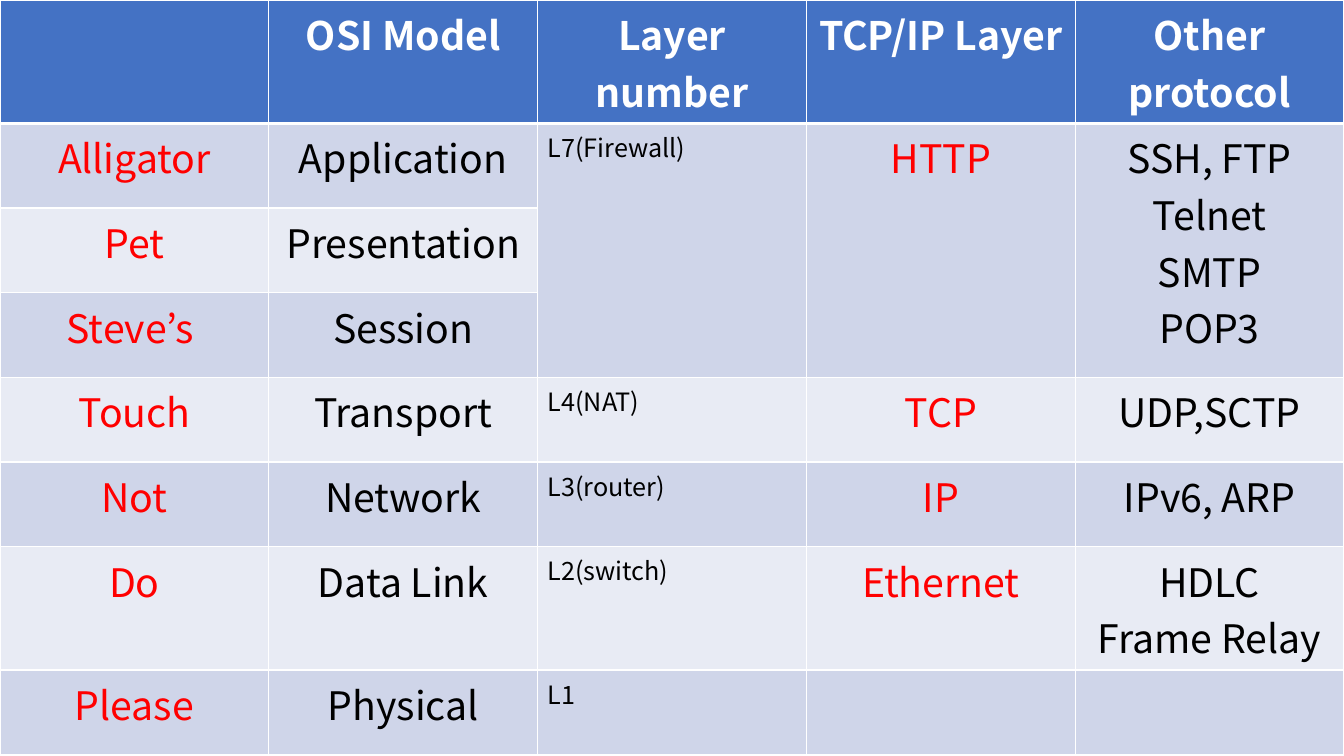
from lxml.etree import SubElement
from pptx import Presentation
from pptx.dml.color import RGBColor
from pptx.enum.text import PP_ALIGN as Align
from pptx.oxml.ns import qn
from pptx.util import Inches, Pt

HEADER = ["", "OSI Model", "Layer number", "TCP/IP Layer", "Other protocol"]
LAYERS = [
    ["Alligator", "Application", "L7(Firewall)", "HTTP", "SSH, FTP\nTelnet\nSMTP\nPOP3"],
    ["Pet", "Presentation", "", "", ""],
    ["Steve’s ", "Session", "", "", ""],
    ["Touch", "Transport", "L4(NAT)", "TCP", "UDP,SCTP"],
    ["Not", "Network", "L3(router)", "IP", "IPv6, ARP"],
    ["Do", "Data Link", "L2(switch)", "Ethernet", "HDLC\nFrame Relay"],
    ["Please", "Physical", "L1", "", ""],
]
TALL_ROWS = (0, 6)
MERGED_COLUMNS = (2, 3, 4)
WHITE, BLACK, RED = "FFFFFF", "000000", "FF0000"
HEADER_FILL, BAND_FILLS = "4472C4", ("E8EBF4", "CFD5E9")

HEADER_TEXT = {"size": Pt(28), "name": "Noto Sans CJK KR", "bold": True, "color": WHITE}
BODY_TEXT = {**HEADER_TEXT, "bold": False, "color": BLACK}
KEY_TEXT = {**BODY_TEXT, "color": RED}
NUMBER_TEXT = {**BODY_TEXT, "size": Pt(18), "name": "Noto Sans CJK JP"}
COLUMN_TEXT = [KEY_TEXT, BODY_TEXT, NUMBER_TEXT, KEY_TEXT, BODY_TEXT]


def rgb(value):
    """Turn a hex string into a colour."""
    return RGBColor.from_string(value)


def format_font(font, values):
    """Apply a dict of format values to a font."""
    for name, value in values.items():
        if name == "color":
            font.color.rgb = rgb(value)
        else:
            setattr(font, name, value)


def write_cell(cell, text, values, align):
    """Write each line of text as a formatted paragraph."""
    frame = cell.text_frame
    frame.text = text
    for para in frame.paragraphs:
        para.alignment = align
        for span in para.runs:
            format_font(span.font, values)


def add_borders(cell, row):
    """Draw white cell borders, with a thick rule under the header."""
    thin, thick = Pt(0.96), Pt(3)
    widths = {
        "lnL": thin,
        "lnR": thin,
        "lnT": thick if row == 1 else thin,
        "lnB": thick if row == 0 else thin,
    }
    properties = cell._tc.get_or_add_tcPr()
    for side, width in widths.items():
        line = SubElement(properties, qn(f"a:{side}"), w=str(width))
        fill = SubElement(line, qn("a:solidFill"))
        SubElement(fill, qn("a:srgbClr"), val=WHITE)


def fill_cell(cell, color):
    """Give a cell a solid fill."""
    cell.fill.solid()
    cell.fill.fore_color.rgb = rgb(color)


def add_layer_table(page, width, height):
    """Add the table of network layers over the whole slide."""
    rows = [HEADER] + LAYERS
    table = page.shapes.add_table(len(rows), len(HEADER), 0, 0, width, height).table
    for column in table.columns:
        column.width = width // len(HEADER)
    for row, texts in enumerate(rows):
        table.rows[row].height = Inches(1.22 if row in TALL_ROWS else 0.84)
        for column, text in enumerate(texts):
            cell = table.cell(row, column)
            values = COLUMN_TEXT[column] if row else HEADER_TEXT
            align = Align.LEFT if values is NUMBER_TEXT else Align.CENTER
            write_cell(cell, text, values, align)
            add_borders(cell, row)
            fill_cell(cell, BAND_FILLS[row % 2] if row else HEADER_FILL)
    for column in MERGED_COLUMNS:
        table.cell(1, column).merge(table.cell(3, column))


def main():
    """Build the deck and save it."""
    deck = Presentation()
    deck.slide_width, deck.slide_height = Inches(13.33), Inches(7.5)
    page = deck.slides.add_slide(deck.slide_layouts[6])
    add_layer_table(page, deck.slide_width, deck.slide_height)
    deck.save("out.pptx")


if __name__ == "__main__":
    main()
